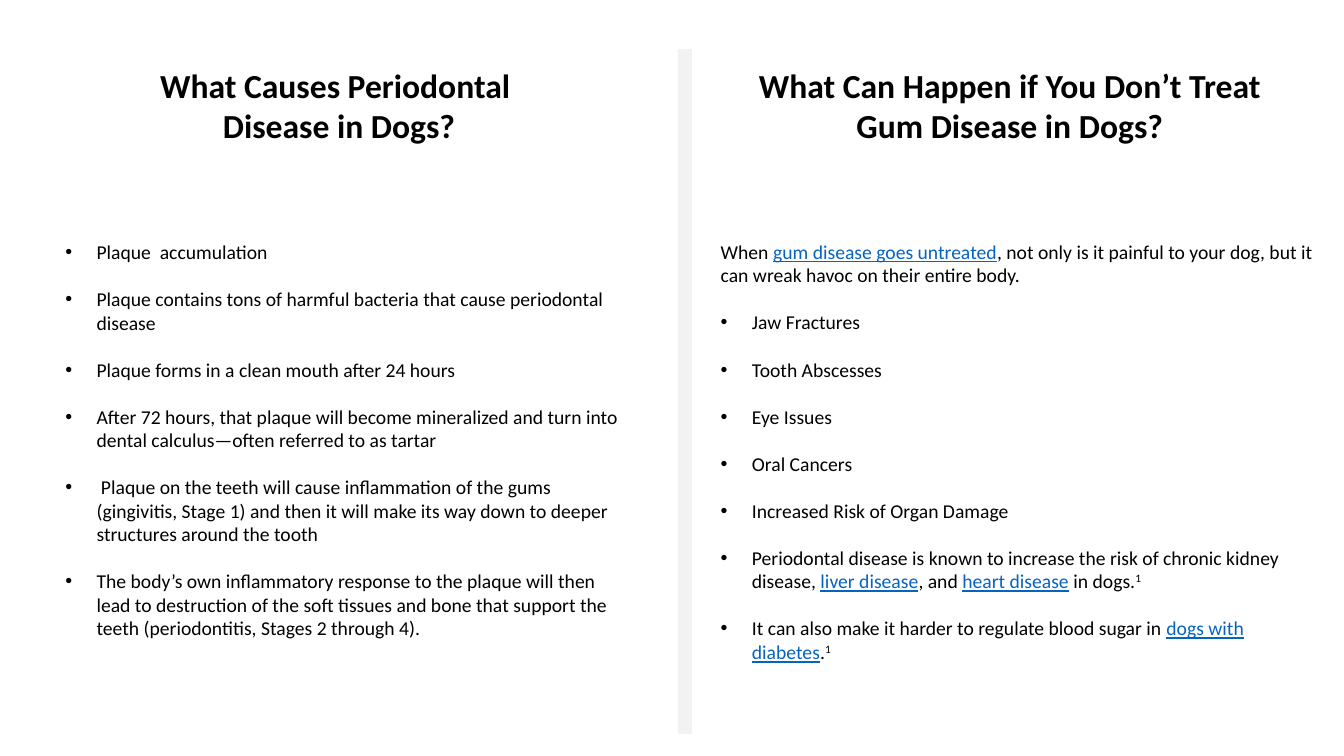
import pptx
import pptx.util
import pptx.dml.color
import pptx.enum.shapes
import pptx.enum.text
import pptx.oxml.ns
from lxml import etree
from pptx.util import Inches

COLORS = {"text": "000000", "link": "0563C1", "divider": "F2F2F2", "paper": "FFFFFF"}
LINK = {"color": "link", "underline": True}
NOTE = {"baseline": "30000"}

CAUSES = [
    "Plaque  accumulation",
    "Plaque contains tons of harmful bacteria that cause periodontal disease",
    "Plaque forms in a clean mouth after 24 hours",
    "After 72 hours, that plaque will become mineralized and turn into "
    "dental calculus—often referred to as tartar",
    " Plaque on the teeth will cause inflammation of the gums (gingivitis, Stage 1) "
    "and then it will make its way down to deeper structures around the tooth",
    "The body’s own inflammatory response to the plaque will then lead to destruction "
    "of the soft tissues and bone that support the teeth (periodontitis, Stages 2 through 4).",
]
INTRO = [
    "When ", ("gum disease goes untreated", LINK),
    ", not only is it painful to your dog, but it can wreak havoc on their entire body.",
]
EFFECTS = [
    "Jaw Fractures", "Tooth Abscesses", "Eye Issues", "Oral Cancers",
    "Increased Risk of Organ Damage",
    ["Periodontal disease is known to increase the risk of chronic kidney disease, ",
     ("liver disease", LINK), ", and ", ("heart disease", LINK), " in dogs.", ("1", NOTE)],
    ["It can also make it harder to regulate blood sugar in ",
     ("dogs with diabetes", LINK), ".", ("1", NOTE)],
]


def color(name):
    return pptx.dml.color.RGBColor.from_string(COLORS[name])


class SlideBuilder:
    font = "Calibri"
    title_size, body_size = 24, 14
    gap = pptx.util.Pt(16.8)
    indent = Inches(0.31)

    def __init__(self, page):
        self.page = page

    def span(self, para, text, size, style=None):
        style = style or {}
        span = para.add_run()
        span.text = text
        formats = {"name": self.font, "size": pptx.util.Pt(size),
                   "bold": style.get("bold", False),
                   "underline": style.get("underline", False)}
        for name, value in formats.items():
            setattr(span.font, name, value)
        span.font.color.rgb = color(style.get("color", "text"))
        if "baseline" in style:
            span._r.get_or_add_rPr().set("baseline", style["baseline"])

    def frame(self, shape):
        formats = {"word_wrap": True,
                   "auto_size": pptx.enum.text.MSO_AUTO_SIZE.SHAPE_TO_FIT_TEXT}
        for name, value in formats.items():
            setattr(shape.text_frame, name, value)
        return shape.text_frame

    def divider(self, x, top, bottom):
        line = self.page.shapes.add_connector(
            pptx.enum.shapes.MSO_CONNECTOR.STRAIGHT,
            Inches(x), Inches(top), Inches(x), Inches(bottom))
        line.line.color.rgb = color("divider")
        line.line.width = pptx.util.Pt(10)
        etree.SubElement(line._element.spPr, pptx.oxml.ns.qn("a:effectLst"))

    def title(self, left, lines):
        box = self.page.shapes.add_shape(
            pptx.enum.shapes.MSO_SHAPE.RECTANGLE,
            Inches(left), Inches(0.59), Inches(5.55), Inches(0.91))
        box.shadow.inherit = False
        box.fill.background()
        box.line.color.rgb = color("paper")
        box.line.width = pptx.util.Pt(0.75)
        para = self.frame(box).paragraphs[0]
        para.alignment = pptx.enum.text.PP_ALIGN.CENTER
        for number, text in enumerate(lines):
            if number:
                para.add_line_break()
            self.span(para, text, self.title_size, {"bold": True})

    def bullet(self, para):
        props = para._p.get_or_add_pPr()
        props.set("marL", str(self.indent))
        props.set("indent", str(-self.indent))
        for tag, name, value in (("a:buFont", "typeface", "Arial"),
                                 ("a:buChar", "char", "•")):
            etree.SubElement(props, pptx.oxml.ns.qn(tag)).set(name, value)

    def body(self, left, width, height, points, intro=None):
        box = self.page.shapes.add_textbox(
            Inches(left), Inches(2.33), Inches(width), Inches(height))
        frame = self.frame(box)
        items = ([intro] if intro else []) + points
        for number, item in enumerate(items):
            para = frame.add_paragraph() if number else frame.paragraphs[0]
            if number < len(items) - 1:
                para.space_after = self.gap
            if item is not intro:
                self.bullet(para)
            for part in [item] if isinstance(item, str) else item:
                text, style = (part, None) if isinstance(part, str) else part
                self.span(para, text, self.body_size, style)


def main():
    deck = pptx.Presentation()
    deck.slide_width, deck.slide_height = Inches(13.33), Inches(7.5)
    slide = SlideBuilder(deck.slides.add_slide(deck.slide_layouts[6]))

    # Divider between the two halves
    slide.divider(6.79, 0.49, 7.28)

    # Left half: causes
    slide.title(0.55, ["What Causes Periodontal", " Disease in Dogs?"])
    slide.body(0.55, 5.76, 4.41, CAUSES)

    # Right half: effects
    slide.title(7.24, ["What Can Happen if You Don’t Treat Gum Disease in Dogs?"])
    slide.body(7.05, 6.07, 4.34, EFFECTS, INTRO)

    deck.save("out.pptx")


if __name__ == "__main__":
    main()
